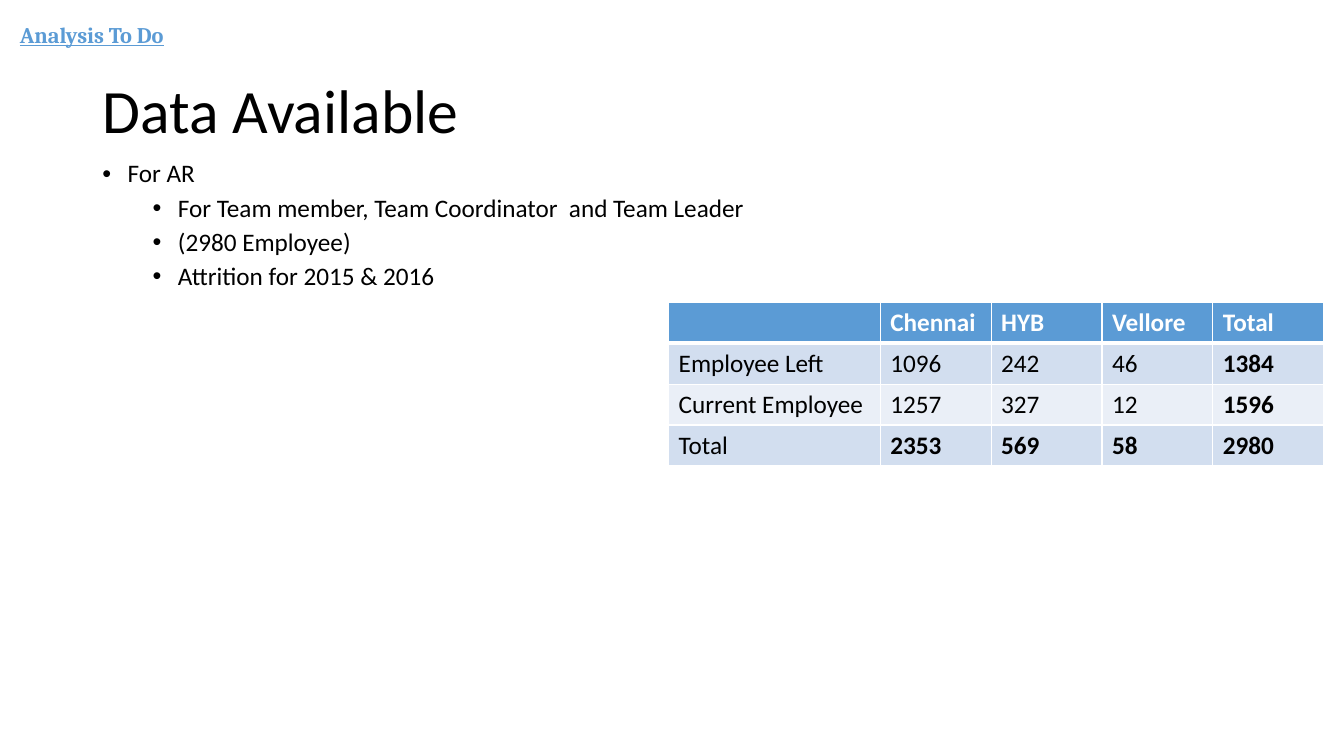
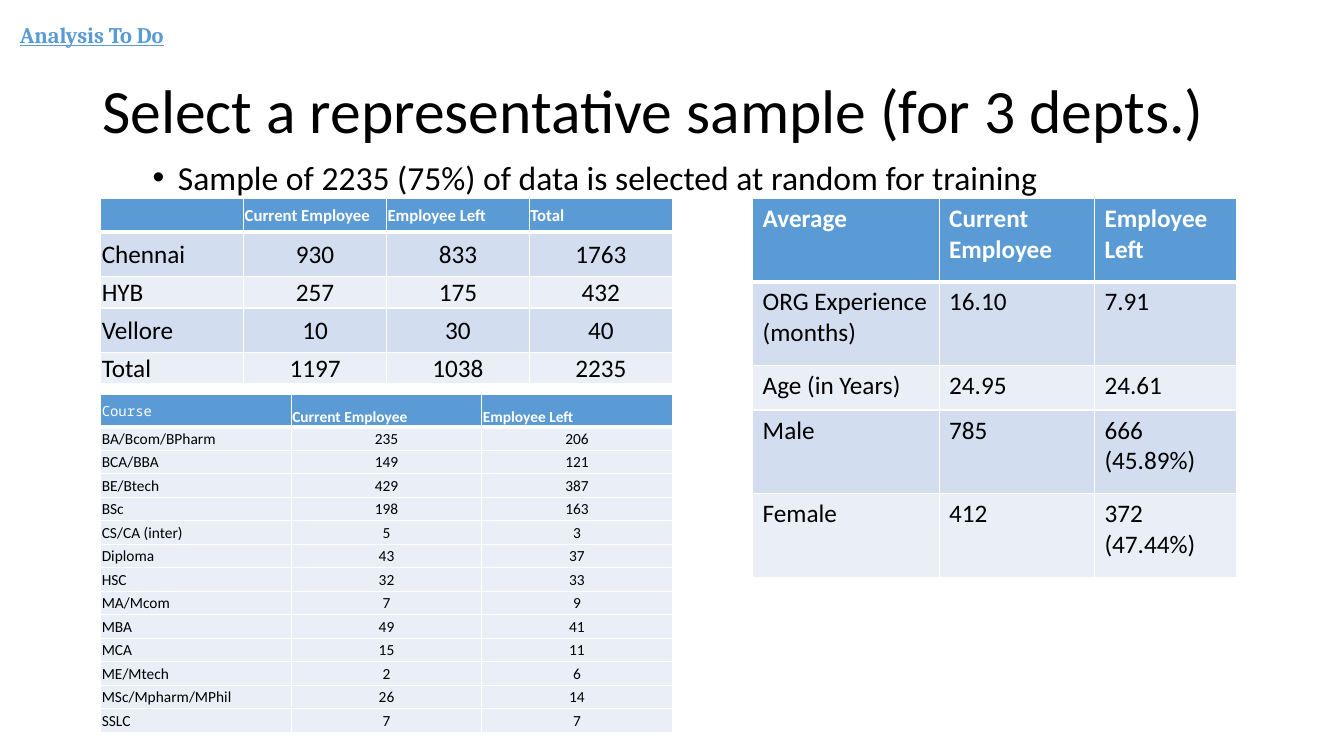
"""Build two slides on employee attrition data and its training sample."""
from dataclasses import dataclass

from lxml.etree import SubElement
from pptx import Presentation
from pptx.dml.color import RGBColor
from pptx.enum.text import MSO_ANCHOR, PP_ALIGN
from pptx.oxml.ns import qn
from pptx.util import Inches, Pt

WIDTH, HEIGHT = Inches(13.33), Inches(7.5)
GRID_COLUMNS, GRID_ROWS = 160, 90

BLUE = RGBColor(0x5B, 0x9B, 0xD5)
BAND = RGBColor(0xD2, 0xDE, 0xEF)
PALE = RGBColor(0xEA, 0xEF, 0xF7)
WHITE = RGBColor(0xFF, 0xFF, 0xFF)
BLACK = RGBColor(0x00, 0x00, 0x00)

BODY_FONT, LABEL_FONT, MONO_FONT = "Calibri", "Cambria", "Noto Sans Mono"


@dataclass(frozen=True)
class Box:
    """Place on the grid, in columns and rows."""
    left: float
    top: float
    width: float
    height: float


@dataclass(frozen=True)
class Bullet:
    """Bulleted line with its outline level."""
    text: str
    level: int
    size: float


@dataclass(frozen=True)
class Grid:
    """Table with its place, track sizes and format."""
    left: float
    top: float
    columns: tuple
    rows: tuple
    cells: tuple
    size: float = 18
    header_size: float = 18
    tight: bool = False
    banded: bool = True
    bold_totals: bool = False
    mono_corner: bool = False
    header_anchor: MSO_ANCHOR = MSO_ANCHOR.MIDDLE


TITLE = Box(11, 4.8, 138, 17.4)
BODY = Box(11, 18.6, 138, 70)
LABEL = Box(1.2, 1.9, 98, 4.4)

LOCATIONS = Grid(
    79.6, 36, (25.2,) + (13.2,) * 4, (4.87,) * 4,
    (("", "Chennai", "HYB", "Vellore", "Total"),
     ("Employee Left", "1096", "242", "46", "1384"),
     ("Current Employee", "1257", "327", "12", "1596"),
     ("Total", "2353", "569", "58", "2980")),
    bold_totals=True)

AVERAGES = Grid(
    89.6, 23.6, (22.2, 18.5, 16.9), (9.96, 9.96, 5.3, 9.96, 9.96),
    (("Average", "Current Employee", "Employee Left"),
     ("ORG Experience (months)", "16.10", "7.91"),
     ("Age (in Years)", "24.95", "24.61"),
     ("Male", "785", "666 (45.89%)"),
     ("Female", "412", "372 (47.44%)")))

COURSES = Grid(
    12, 46.9, (22.68,) * 3, (3.9,) + (2.8,) * 13,
    (("Course", "Current Employee", "Employee Left"),
     ("BA/Bcom/BPharm", "235", "206"),
     ("BCA/BBA", "149", "121"),
     ("BE/Btech", "429", "387"),
     ("BSc", "198", "163"),
     ("CS/CA (inter)", "5", "3"),
     ("Diploma", "43", "37"),
     ("HSC", "32", "33"),
     ("MA/Mcom", "7", "9"),
     ("MBA", "49", "41"),
     ("MCA", "15", "11"),
     ("ME/Mtech", "2", "6"),
     ("MSc/Mpharm/MPhil", "26", "14"),
     ("SSLC", "7", "7")),
    size=11, header_size=11, tight=True, banded=False, mono_corner=True,
    header_anchor=MSO_ANCHOR.BOTTOM)

SAMPLE = Grid(
    12, 23.6, (17.01,) * 4, (4.05, 5.3, 3.7, 5.3, 3.7),
    (("", "Current Employee", "Employee Left", "Total"),
     ("Chennai", "930", "833", "1763"),
     ("HYB", "257", "175", "432"),
     ("Vellore", "10", "30", "40"),
     ("Total", "1197", "1038", "2235")),
    header_size=12, tight=True)


def across(columns: float) -> int:
    """Turn grid columns into a length."""
    return round(WIDTH * columns / GRID_COLUMNS)


def down(rows: float) -> int:
    """Turn grid rows into a length."""
    return round(HEIGHT * rows / GRID_ROWS)


def write(p, text: str, *, size: float, font: str = BODY_FONT,
          color: RGBColor = BLACK, bold: bool = False, underline: bool = False,
          align: PP_ALIGN = PP_ALIGN.LEFT, spacing: float = 1.0) -> None:
    """Add formatted text to a paragraph."""
    p.alignment, p.line_spacing = align, spacing
    r = p.add_run()
    r.text = text
    r.font.name, r.font.size = font, Pt(size)
    r.font.bold, r.font.underline = bold, underline
    r.font.color.rgb = color


def add_text_frame(s, box: Box, anchor: MSO_ANCHOR = MSO_ANCHOR.TOP):
    """Add a wrapping text box and return its frame."""
    sp = s.shapes.add_textbox(across(box.left), down(box.top),
                              across(box.width), down(box.height))
    tf = sp.text_frame
    tf.word_wrap, tf.vertical_anchor = True, anchor
    return tf


def add_bullets(s, bullets: list[Bullet]) -> None:
    """Fill the body with bulleted lines."""
    tf = add_text_frame(s, BODY)
    for i, bullet in enumerate(bullets):
        p = tf.paragraphs[0] if i == 0 else tf.add_paragraph()
        p.level = bullet.level
        p.space_before = Pt(5 if bullet.level else 10)
        write(p, bullet.text, size=bullet.size, spacing=0.9)
        pPr = p._p.get_or_add_pPr()
        pPr.set("marL", str(Inches(0.25 + 0.5 * bullet.level)))
        pPr.set("indent", str(-Inches(0.25)))
        SubElement(pPr, qn("a:buFont"), typeface="Arial")
        SubElement(pPr, qn("a:buChar"), char="•")


def set_borders(cell, row: int) -> None:
    """Draw white borders, heavier between header and body."""
    tcPr = cell._tc.get_or_add_tcPr()
    heavy = {0: "lnB", 1: "lnT"}.get(row)
    for side in ("lnL", "lnR", "lnT", "lnB"):
        ln = SubElement(tcPr, qn(f"a:{side}"), w=str(Pt(3 if side == heavy else 1)))
        SubElement(SubElement(ln, qn("a:solidFill")), qn("a:srgbClr"), val=str(WHITE))


def format_cell(cell, grid: Grid, row: int, column: int) -> None:
    """Fill, frame and write one table cell."""
    header, corner = row == 0, row == 0 and column == 0
    set_borders(cell, row)
    cell.fill.solid()
    cell.fill.fore_color.rgb = BLUE if header else BAND if grid.banded and row % 2 else PALE
    if grid.tight:
        cell.margin_left = cell.margin_right = cell.margin_top = Inches(0.01)
        cell.margin_bottom = 0
        cell.vertical_anchor = (grid.header_anchor if header and not corner
                                else MSO_ANCHOR.MIDDLE)
    text = grid.cells[row][column]
    if not text:
        return
    mono = corner and grid.mono_corner
    total = (grid.bold_totals and column > 0
             and (row == len(grid.rows) - 1 or column == len(grid.columns) - 1))
    centred = grid.tight and not header and column > 0
    write(cell.text_frame.paragraphs[0], text,
          size=10 if mono else grid.header_size if header else grid.size,
          font=MONO_FONT if mono else BODY_FONT,
          color=WHITE if header else BLACK,
          bold=(header and not mono) or total,
          align=PP_ALIGN.CENTER if centred else PP_ALIGN.LEFT)


def add_grid(s, grid: Grid) -> None:
    """Add a table to the slide."""
    table = s.shapes.add_table(
        len(grid.rows), len(grid.columns), across(grid.left), down(grid.top),
        across(sum(grid.columns)), down(sum(grid.rows))).table
    table.horz_banding = grid.banded
    for column, width in zip(table.columns, grid.columns):
        column.width = across(width)
    for i, height in enumerate(grid.rows):
        table.rows[i].height = down(height)
        for j in range(len(grid.columns)):
            format_cell(table.cell(i, j), grid, i, j)


def add_slide(prs, title: str, bullets: list[Bullet], grids: list[Grid]) -> None:
    """Add a slide with label, title, bullets and tables."""
    s = prs.slides.add_slide(prs.slide_layouts[6])
    tf = add_text_frame(s, TITLE, MSO_ANCHOR.MIDDLE)
    write(tf.paragraphs[0], title, size=44, spacing=0.9)
    add_bullets(s, bullets)
    write(add_text_frame(s, LABEL).paragraphs[0], "Analysis To Do", size=16,
          font=LABEL_FONT, color=BLUE, bold=True, underline=True)
    for grid in grids:
        add_grid(s, grid)


def main() -> None:
    """Build and save the presentation."""
    prs = Presentation()
    prs.slide_width, prs.slide_height = WIDTH, HEIGHT
    add_slide(prs, "Data Available", [
        Bullet("For AR", 0, 18),
        Bullet("For Team member, Team Coordinator  and Team Leader", 1, 18),
        Bullet("(2980 Employee)", 1, 18),
        Bullet("Attrition for 2015 & 2016", 1, 18),
    ], [LOCATIONS])
    add_slide(prs, "Select a representative sample (for 3 depts.)", [
        Bullet("Sample of 2235 (75%) of data is selected at random for training", 1, 24),
    ], [AVERAGES, COURSES, SAMPLE])
    prs.save("out.pptx")


if __name__ == "__main__":
    main()
